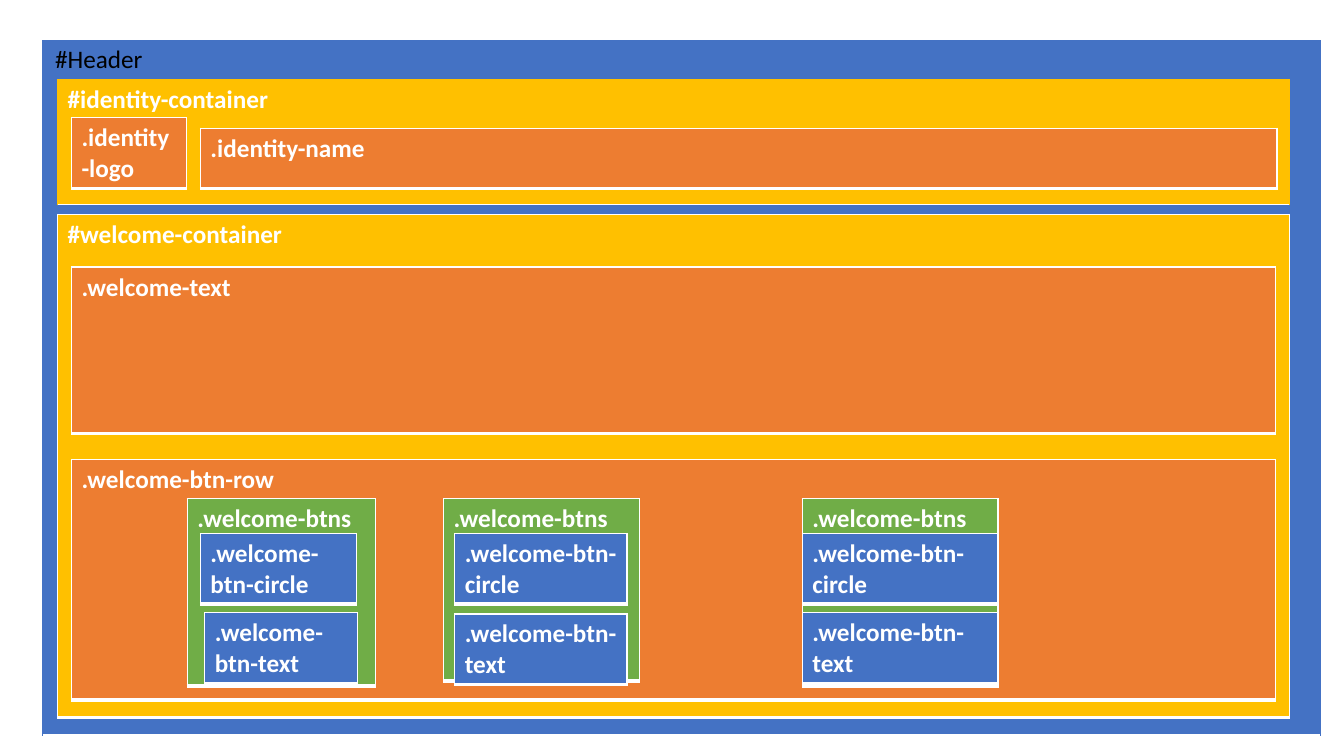
"""Build a slide of nested boxes that shows the structure of a web page header."""
from dataclasses import dataclass

from lxml.etree import SubElement
from pptx import Presentation
from pptx.dml.color import RGBColor
from pptx.enum.text import MSO_AUTO_SIZE as AutoSize
from pptx.oxml.ns import qn
from pptx.util import Cm, Pt


@dataclass(frozen=True)
class Theme:
    font: str = "Calibri"
    size: int = 18
    blue: str = "4472C4"
    gold: str = "FFC000"
    orange: str = "ED7D31"
    green: str = "70AD47"
    white: str = "FFFFFF"
    black: str = "000000"
    thin: float = 0.5
    line: float = 1
    thick: float = 3


THEME = Theme()

HEADER_LABEL = ("#Header", 1.14, 0.97, 3.99, 1.02)
OUTER_BOXES = [
    ("", 1.07, 1.02, 32.21, 17.5, THEME.blue),
    ("#identity-container", 1.45, 2.01, 31.04, 3.15, THEME.gold),
]
INNER_BOXES = [
    (".identity-logo", 1.8, 2.97, 2.9, 1.78, THEME.orange),
    (".identity-name", 5.05, 3.23, 27.13, 1.52, THEME.orange),
    ("#welcome-container", 1.45, 5.41, 31.04, 12.67, THEME.gold),
    (".welcome-text", 1.8, 6.73, 30.35, 4.19, THEME.orange),
    (".welcome-btn-row", 1.8, 11.58, 30.35, 6.05, THEME.orange),
]
BUTTONS_TOP, CIRCLE_TOP, PART_HEIGHT = 12.57, 13.44, 1.78
BUTTONS = [
    {"box": (4.72, 4.75, 4.72), "circle": (5.05, 3.94), "text": (5.16, 3.84), "text_top": 15.44},
    {"box": (11.18, 4.93, 4.6), "circle": (11.46, 4.34), "text": (11.46, 4.34), "text_top": 15.47},
    {"box": (20.22, 4.93, 4.72), "circle": (20.22, 4.93), "text": (20.22, 4.93), "text_top": 15.44},
]


def write(text_frame, text, color=THEME.white, bold=True):
    run = text_frame.paragraphs[0].add_run()
    run.text = text
    run.font.name, run.font.size, run.font.bold = THEME.font, Pt(THEME.size), bold
    run.font.color.rgb = RGBColor.from_string(color)


def add_border(cell, side, color, width):
    line = SubElement(cell._tc.get_or_add_tcPr(), qn(f"a:ln{side}"), w=str(Pt(width)))
    SubElement(SubElement(line, qn("a:solidFill")), qn("a:srgbClr"), val=color)


def add_box(slide, text, left, top, width, height, fill, outer=False):
    table = slide.shapes.add_table(1, 1, Cm(left), Cm(top), Cm(width), Cm(height)).table
    table.first_row = table.horz_banding = False
    cell = table.cell(0, 0)
    edge = (fill, THEME.thin) if outer else (THEME.white, THEME.line)
    for side in "LRT":
        add_border(cell, side, *edge)
    add_border(cell, "B", THEME.white, THEME.line if outer else THEME.thick)
    cell.fill.solid()
    cell.fill.fore_color.rgb = RGBColor.from_string(fill)
    if text:
        write(cell.text_frame, text)


def add_label(slide, text, *place):
    text_frame = slide.shapes.add_textbox(*map(Cm, place)).text_frame
    text_frame.word_wrap = True
    text_frame.auto_size = AutoSize.SHAPE_TO_FIT_TEXT
    write(text_frame, text, color=THEME.black, bold=False)


def main():
    presentation = Presentation()
    presentation.slide_width, presentation.slide_height = Cm(33.87), Cm(19.05)
    slide = presentation.slides.add_slide(presentation.slide_layouts[6])

    header, identity = OUTER_BOXES
    add_box(slide, *header, outer=True)
    add_label(slide, *HEADER_LABEL)
    add_box(slide, *identity, outer=True)
    for box in INNER_BOXES:
        add_box(slide, *box)

    for button in BUTTONS:
        left, width, height = button["box"]
        add_box(slide, ".welcome-btns", left, BUTTONS_TOP, width, height, THEME.green)
        for part, top in (("circle", CIRCLE_TOP), ("text", button["text_top"])):
            left, width = button[part]
            add_box(slide, f".welcome-btn-{part}", left, top, width, PART_HEIGHT, THEME.blue)

    presentation.save("out.pptx")


main()
